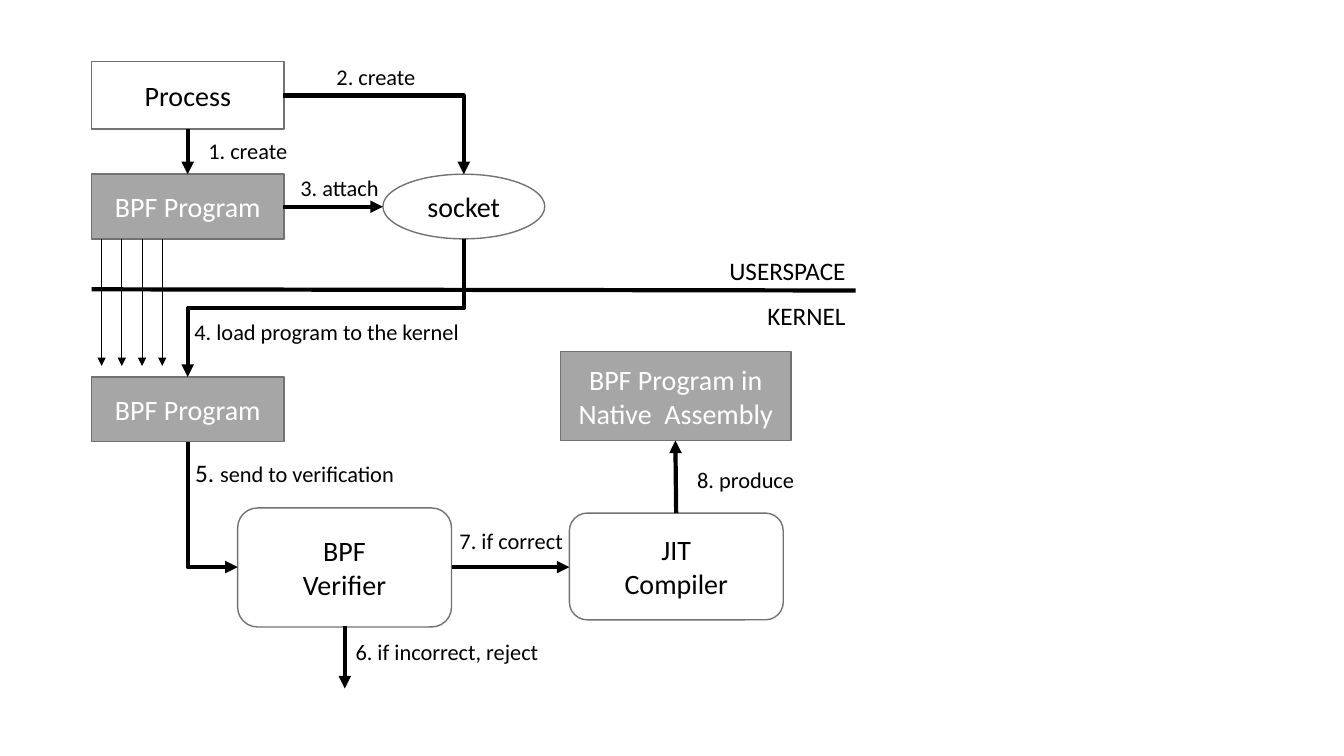
"""Build the slide that shows how a BPF program is loaded, verified and compiled."""
from lxml.etree import SubElement
from pptx import Presentation
from pptx.dml.color import RGBColor as RGB
from pptx.enum.shapes import MSO_CONNECTOR as LINE, MSO_SHAPE as SHAPE
from pptx.enum.text import MSO_ANCHOR as ANCHOR, PP_ALIGN as ALIGN
from pptx.oxml.ns import qn
from pptx.util import Cm, Pt

COLORS = {"ink": "000000", "paper": "FFFFFF", "program": "A6A6A6", "outline": "767171"}

deck = Presentation()
deck.slide_width, deck.slide_height = Cm(33.87), Cm(19.05)
page = deck.slides.add_slide(deck.slide_layouts[6])


def write(box, lines, color, align):
    """Fill a box with lines, each a list of (text, size) spans."""
    frame = box.text_frame
    frame.word_wrap = True
    for index, line in enumerate(lines):
        para = frame.paragraphs[0] if index == 0 else frame.add_paragraph()
        para.alignment = align
        for text, size in line:
            span = para.add_run()
            span.text = text
            for name, value in {"name": "Calibri", "size": Pt(size)}.items():
                setattr(span.font, name, value)
            span.font.color.rgb = RGB.from_string(COLORS[color])


def connect(begin, end, weight=3, head=True, preset=None, down_first=False):
    """Draw a line; a down_first elbow is a quarter-turned connector."""
    (x1, y1), (x2, y2) = begin, end
    if down_first:
        middle_x, middle_y = (x1 + x2) / 2, (y1 + y2) / 2
        half_x, half_y = (y2 - y1) / 2, (x1 - x2) / 2
        x1, x2 = middle_x - half_x, middle_x + half_x
        y1, y2 = middle_y - half_y, middle_y + half_y
    kind = LINE.ELBOW if preset else LINE.STRAIGHT
    link = page.shapes.add_connector(kind, Cm(x1), Cm(y1), Cm(x2), Cm(y2))
    link.line.width = Pt(weight)
    link.line.color.rgb = RGB.from_string(COLORS["ink"])
    properties = link._element.spPr
    if preset:
        properties.find(qn("a:prstGeom")).set("prst", preset)
    if down_first:
        properties.find(qn("a:xfrm")).set("rot", "5400000")
    if head:
        SubElement(properties.find(qn("a:ln")), qn("a:tailEnd"), type="triangle")
    SubElement(properties, qn("a:effectLst"))


nodes = [
    (SHAPE.RECTANGLE, 2.31, 1.55, 4.85, 1.7, None, ["Process"]),
    (SHAPE.OVAL, 9.65, 4.39, 4.08, 1.63, None, ["socket"]),
    (SHAPE.RECTANGLE, 2.31, 4.39, 4.85, 1.63, "program", ["BPF Program"]),
    (SHAPE.RECTANGLE, 2.31, 9.5, 4.85, 1.63, "program", ["BPF Program"]),
    (SHAPE.ROUNDED_RECTANGLE, 5.99, 12.8, 5.39, 3, None, ["BPF", "Verifier"]),
    (SHAPE.ROUNDED_RECTANGLE, 14.35, 12.93, 5.39, 2.69, None, ["JIT", "Compiler"]),
    (SHAPE.RECTANGLE, 14.12, 8.86, 5.82, 2.24, "program",
     ["BPF Program in Native  Assembly"]),
]
for kind, left, top, width, height, fill, names in nodes:
    box = page.shapes.add_shape(kind, Cm(left), Cm(top), Cm(width), Cm(height))
    box.shadow.inherit = False
    box.line.width = Pt(1)
    box.line.color.rgb = RGB.from_string(COLORS["outline"])
    if fill:
        box.fill.solid()
        box.fill.fore_color.rgb = RGB.from_string(COLORS[fill])
    else:
        box.fill.background()
    box.text_frame.vertical_anchor = ANCHOR.MIDDLE
    write(box, [[(name, 20)] for name in names], "paper" if fill else "ink", ALIGN.CENTER)

program_x, socket_x, verifier_x, compiler_x = 4.73, 11.69, 8.69, 17.04
connect((2.31, 7.29), (21.56, 7.32), head=False)
connect((7.14, 2.41), (socket_x, 4.39), preset="bentConnector2")
connect((program_x, 3.26), (program_x, 4.39))
connect((7.14, 5.21), (9.65, 5.21))
connect((socket_x, 6.02), (program_x, 9.5), preset="bentConnector3", down_first=True)
connect((program_x, 11.13), (5.99, 14.29), preset="bentConnector2", down_first=True)
connect((11.38, 14.29), (14.35, 14.29))
connect((compiler_x, 12.93), (17.02, 11.1))
connect((verifier_x, 15.78), (verifier_x, 17.35))
for column in range(4):
    x = 2.56 + 0.51 * column
    connect((x, 6.02), (x, 9.22), weight=0.5)

labels = [
    (16.66, 6.32, 4.9, ALIGN.RIGHT, [("USERSPACE", 18)]),
    (18.46, 7.44, 3.1, ALIGN.RIGHT, [("KERNEL", 18)]),
    (5, 3.33, 2.8, ALIGN.LEFT, [("1. create", 16)]),
    (8.23, 1.47, 7.04, ALIGN.LEFT, [("2. create", 16)]),
    (7.32, 4.27, 2.77, ALIGN.LEFT, [("3. attach", 16)]),
    (4.65, 7.88, 8.79, ALIGN.LEFT, [("4. load program to the kernel", 16)]),
    (4.67, 11.4, 5.69, ALIGN.LEFT, [("5. ", 18), ("send to verification", 16)]),
    (8.71, 15.95, 6.76, ALIGN.LEFT, [("6. if incorrect, reject", 16)]),
    (11.33, 13.16, 3.38, ALIGN.LEFT, [("7. if correct", 16)]),
    (17.32, 11.63, 3.28, ALIGN.LEFT, [("8. produce", 16)]),
]
for left, top, width, align, spans in labels:
    height = 1.02 if spans[0][1] == 18 else 0.94
    box = page.shapes.add_textbox(Cm(left), Cm(top), Cm(width), Cm(height))
    write(box, [spans], "ink", align)

deck.save("out.pptx")
